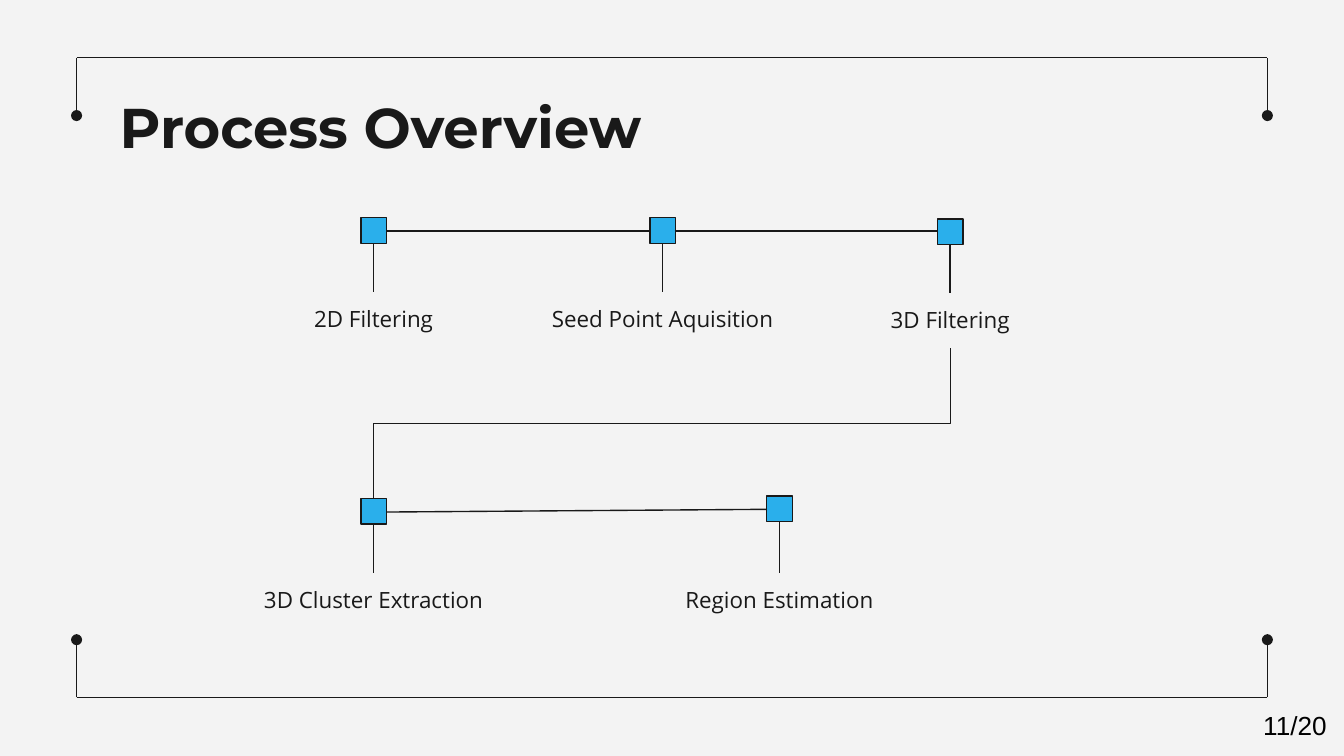
from pptx import Presentation
from pptx.dml.color import RGBColor
from pptx.enum import shapes, text
from pptx.oxml import ns
from pptx.util import Inches, Pt
from lxml import etree

HUES = {"ink": "191919", "node": "2AAFEB", "page": "F3F3F3", "black": "000000"}
NODE = 0.19
STEPS = [
    ("2D Filtering", 2.78, 1.62, 2.17),
    ("Seed Point Aquisition", 4.93, 1.62, 2.17),
    ("3D Filtering", 7.07, 1.63, 2.18),
    ("3D Cluster Extraction", 2.78, 3.71, 4.26),
    ("Region Estimation", 5.8, 3.69, 4.26),
]
LINKS = [
    (2.88, 1.72, 4.83, 1.72),
    (5.02, 1.72, 6.98, 1.72),
    (2.88, 3.81, 5.7, 3.79),
]


def hue(name):
    return RGBColor.from_string(HUES[name])


def style(para, size, face, color="ink", bold=False):
    font = para.font
    font.size = Pt(size)
    font.name = face
    font.bold = bold
    font.color.rgb = hue(color)


def add_line(slide, ends, dot=False, kind=shapes.MSO_CONNECTOR.STRAIGHT):
    line = slide.shapes.add_connector(kind, *map(Inches, ends))
    line.line.color.rgb = hue("ink")
    line.line.width = Pt(0.75)
    if dot:
        stroke = line.line._get_or_add_ln()
        etree.SubElement(stroke, ns.qn("a:tailEnd"), type="oval")
    etree.SubElement(line._element.spPr, ns.qn("a:effectLst"))
    return line


def add_frame(slide):
    left, right = 0.57, 9.43
    for edge, tip in ((0.43, 0.86), (5.19, 4.76)):
        add_line(slide, (left, edge, right, edge))
        for side in (left, right):
            add_line(slide, (side, edge, side, tip), dot=True)


def add_title(slide, words):
    title = slide.shapes.title
    title.left, title.top = Inches(0.79), Inches(0.59)
    title.width, title.height = Inches(8.43), Inches(0.63)
    frame = title.text_frame
    frame.text = words
    frame.auto_size = text.MSO_AUTO_SIZE.NONE
    frame.vertical_anchor = text.MSO_ANCHOR.TOP
    frame.margin_left = frame.margin_right = Inches(0.1)
    frame.margin_top = frame.margin_bottom = Inches(0.1)
    para = frame.paragraphs[0]
    para.alignment = text.PP_ALIGN.LEFT
    style(para, 30, "Montserrat", bold=True)


def add_label(slide, words, mid, top):
    wide = 1.98
    box = slide.shapes.add_textbox(
        Inches(mid - wide / 2), Inches(top), Inches(wide), Inches(0.41))
    frame = box.text_frame
    frame.word_wrap = True
    frame.margin_top = frame.margin_bottom = Inches(0.1)
    frame.text = words
    para = frame.paragraphs[0]
    para.alignment = text.PP_ALIGN.CENTER
    style(para, 12, "Open Sans")


def add_step(slide, words, mid, top, base):
    node = slide.shapes.add_shape(
        shapes.MSO_SHAPE.RECTANGLE, Inches(mid - NODE / 2), Inches(top),
        Inches(NODE), Inches(NODE))
    node.shadow.inherit = False
    node.fill.solid()
    node.fill.fore_color.rgb = hue("node")
    node.line.color.rgb = hue("ink")
    node.line.width = Pt(0.75)
    add_line(slide, (mid, top + NODE, mid, base))
    add_label(slide, words, mid, base)


def add_bend(slide, start, end):
    (x1, y1), (x2, y2) = start, end
    mid, level = (x1 + x2) / 2, (y1 + y2) / 2
    half, rise = (y2 - y1) / 2, (x1 - x2) / 2
    bend = add_line(slide, (mid - half, level - rise, mid + half, level + rise),
                    kind=shapes.MSO_CONNECTOR.ELBOW)
    bend._element.spPr.find(ns.qn("a:xfrm")).set("rot", str(90 * 60000))


def add_count(slide, words):
    box = slide.shapes.add_textbox(
        Inches(9.3), Inches(5.23), Inches(0.91), Inches(0.34))
    frame = box.text_frame
    frame.word_wrap = True
    frame.auto_size = text.MSO_AUTO_SIZE.SHAPE_TO_FIT_TEXT
    frame.text = words
    style(frame.paragraphs[0], 14, "Arial", "black")


def main():
    deck = Presentation()
    deck.slide_width = Inches(10)
    deck.slide_height = Inches(10) * 9 // 16
    slide = deck.slides.add_slide(deck.slide_layouts[5])
    slide.background.fill.solid()
    slide.background.fill.fore_color.rgb = hue("page")
    add_frame(slide)
    add_title(slide, "Process Overview")
    for step in STEPS:
        add_step(slide, *step)
    for link in LINKS:
        add_line(slide, link)
    add_bend(slide, (7.07, 2.59), (2.78, 3.71))
    add_count(slide, "11/20")
    deck.save("out.pptx")


if __name__ == "__main__":
    main()
